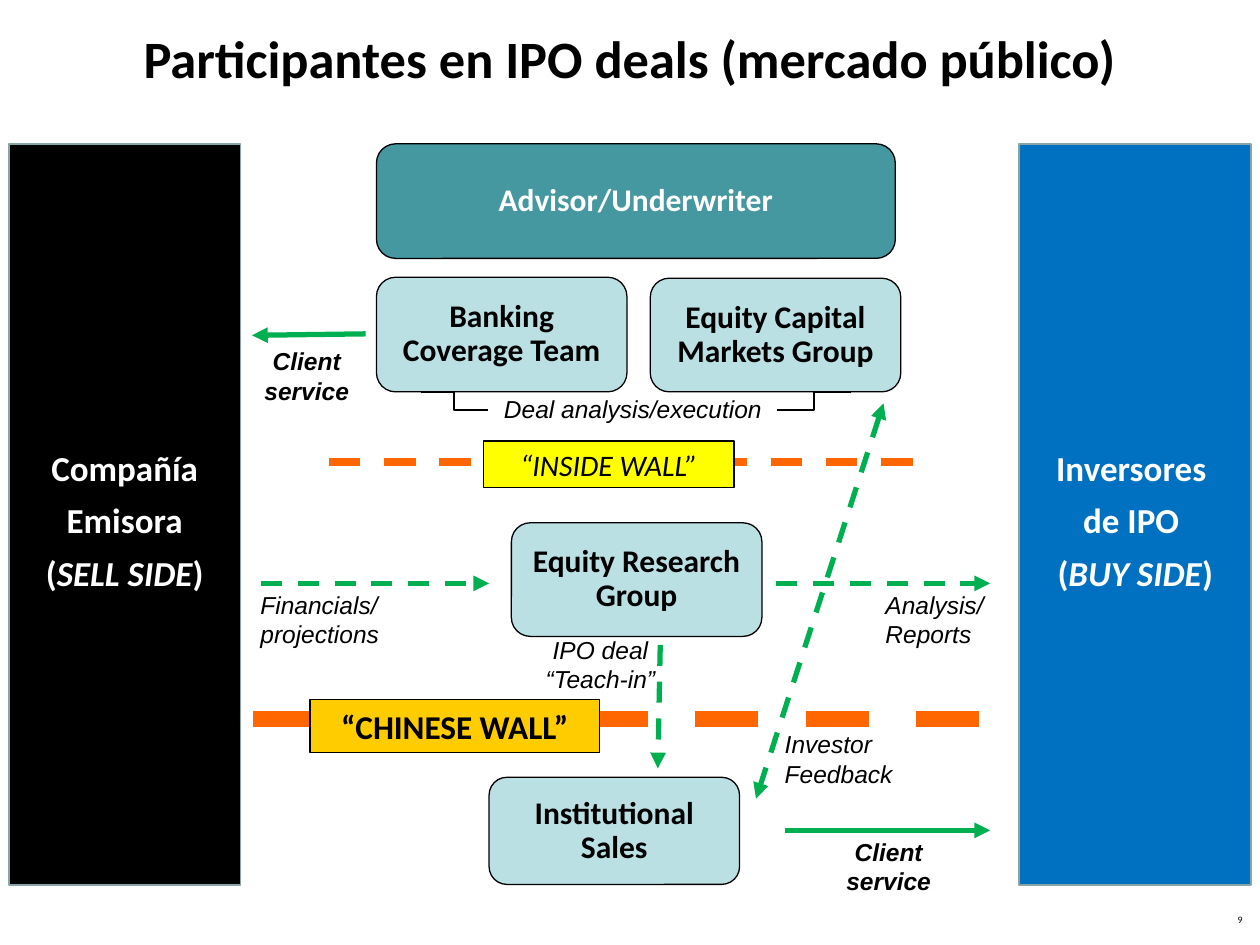
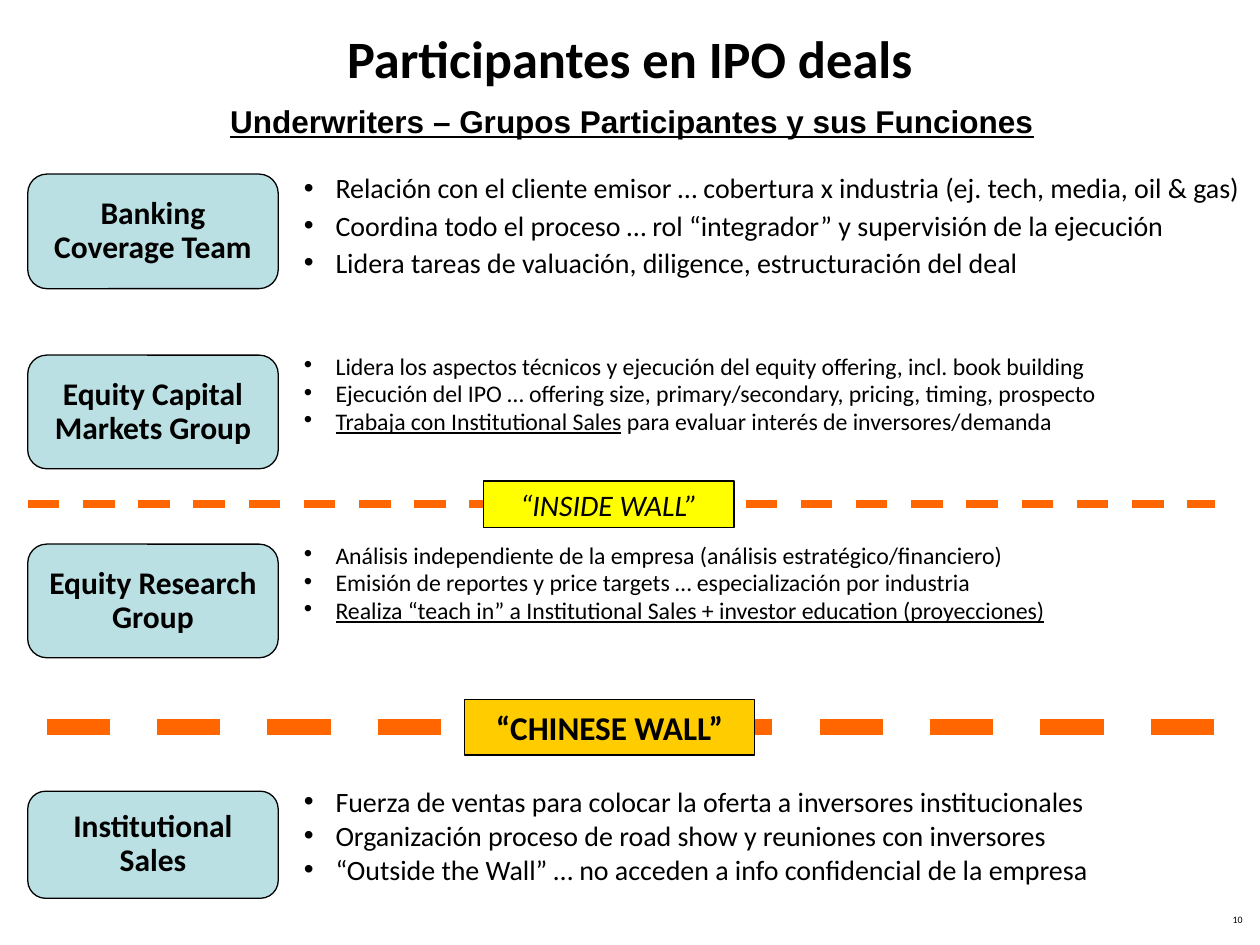
from dataclasses import dataclass

from pptx import Presentation
from pptx.dml.color import RGBColor
from pptx.enum.dml import MSO_LINE
from pptx.enum.shapes import MSO_CONNECTOR, MSO_SHAPE
from pptx.enum.text import MSO_ANCHOR, MSO_AUTO_SIZE, PP_ALIGN
from pptx.oxml.ns import qn
from pptx.util import Cm, Pt
from lxml import etree

LEFT, CENTER, RIGHT = PP_ALIGN.LEFT, PP_ALIGN.CENTER, PP_ALIGN.RIGHT
TOP, MIDDLE = MSO_ANCHOR.TOP, MSO_ANCHOR.MIDDLE
NO_FIT = MSO_AUTO_SIZE.NONE
RECT, ROUNDED = MSO_SHAPE.RECTANGLE, MSO_SHAPE.ROUNDED_RECTANGLE
STRAIGHT, ELBOW = MSO_CONNECTOR.STRAIGHT, MSO_CONNECTOR.ELBOW
DASH = MSO_LINE.DASH


@dataclass(frozen=True)
class Theme:
    black: str = "000000"
    white: str = "FFFFFF"
    team: str = "BBE0E3"
    advisor: str = "4597A0"
    buy_side: str = "0070C0"
    side_edge: str = "89A4A7"
    wall: str = "FF6600"
    inside: str = "FFFF00"
    chinese: str = "FFCC00"
    flow: str = "00B050"
    font: str = "Calibri"
    label_font: str = "Arial"
    title_size: float = 30
    side_size: float = 20
    chinese_size: float = 19
    team_size: float = 18
    inside_size: float = 17
    list_size: float = 16
    small_list_size: float = 13.6
    label_size: float = 14
    page_size: float = 5.6


THEME = Theme()


def write(frame, lines, size, color=THEME.black, font=THEME.font, align=CENTER, anchor=MIDDLE,
          bold=False, italic=False, underline=False, spacing=None, wrap=True, emphasis="italic"):
    frame.auto_size = NO_FIT
    frame.word_wrap = wrap
    frame.vertical_anchor = anchor
    for number, line in enumerate(lines):
        paragraph = frame.paragraphs[0] if number == 0 else frame.add_paragraph()
        paragraph.alignment = align
        if spacing:
            paragraph.line_spacing = spacing
        for part, words in enumerate(line.split("*")):
            if not words:
                continue
            run = paragraph.add_run()
            run.text = words
            run.font.name = font
            run.font.size = Pt(size)
            run.font.color.rgb = RGBColor.from_string(color)
            run.font.bold, run.font.italic, run.font.underline = bold, italic, underline
            if part % 2:
                setattr(run.font, emphasis, True)


def add_box(slide, kind, place, fill, lines, size, edge=THEME.black, edge_width=0.75, **text):
    box = slide.shapes.add_shape(kind, *map(Cm, place))
    box.shadow.inherit = False
    box.fill.solid()
    box.fill.fore_color.rgb = RGBColor.from_string(fill)
    box.line.color.rgb = RGBColor.from_string(edge)
    box.line.width = Pt(edge_width)
    write(box.text_frame, lines, size, **text)


deck = Presentation()
deck.slide_width, deck.slide_height = Cm(25.4), Cm(19.05)
market = deck.slides.add_slide(deck.slide_layouts.get_by_name("Title Only"))
roles = deck.slides.add_slide(deck.slide_layouts.get_by_name("Comparison"))

headings = [(market, "Participantes en IPO deals (mercado público)", "9"),
            (roles, "Participantes en IPO deals", "10")]
for slide, heading, page in headings:
    title = slide.shapes.title
    title.left, title.top, title.width, title.height = Cm(0), Cm(0), Cm(25.4), Cm(2.31)
    write(title.text_frame, [heading], THEME.title_size, bold=True)
    page_number = slide.shapes.add_textbox(Cm(19.38), Cm(18.34), Cm(5.92), Cm(0.53))
    write(page_number.text_frame, [page], THEME.page_size, align=RIGHT, anchor=TOP, spacing=0.8)

chinese_line = (THEME.wall, 9, DASH, "")
inside_line = (THEME.wall, 4.5, DASH, "")
solid_arrow = (THEME.flow, 3, None, "tail")
dashed_arrow = (THEME.flow, 3, DASH, "tail")
two_way_arrow = (THEME.flow, 3, DASH, "head tail")
bracket = (THEME.black, 1, None, "")
lines = [
    (market, STRAIGHT, (5.11, 14.5, 20.55, 14.5), chinese_line),
    (market, STRAIGHT, (6.63, 9.32, 18.52, 9.32), inside_line),
    (roles, STRAIGHT, (0.94, 14.66, 25.4, 14.66), chinese_line),
    (roles, STRAIGHT, (0.56, 10.16, 24.49, 10.16), inside_line),
    (market, STRAIGHT, (15.82, 16.74, 19.96, 16.74), solid_arrow),
    (market, STRAIGHT, (7.37, 6.73, 5.08, 6.76), solid_arrow),
    (market, STRAIGHT, (5.26, 11.76, 9.86, 11.76), dashed_arrow),
    (market, STRAIGHT, (13.31, 13, 13.26, 15.49), dashed_arrow),
    (market, STRAIGHT, (15.65, 11.76, 19.96, 11.76), dashed_arrow),
    (market, STRAIGHT, (17.81, 8.13, 15.24, 16.1), two_way_arrow),
    (market, ELBOW, (17.15, 7.9, 15.67, 8.26), bracket),
    (market, ELBOW, (8.48, 7.9, 9.83, 8.26), bracket),
]
for slide, kind, ends, (color, width, dash, arrowheads) in lines:
    connector = slide.shapes.add_connector(kind, *map(Cm, ends))
    connector.line.color.rgb = RGBColor.from_string(color)
    connector.line.width = Pt(width)
    if dash:
        connector.line.dash_style = dash
    properties = connector._element.spPr
    for end in arrowheads.split():
        etree.SubElement(properties.find(qn("a:ln")), qn(f"a:{end}End"), type="triangle")
    etree.SubElement(properties, qn("a:effectLst"))

walls = [(market, (6.25, 14.1, 5.84, 1.07), (9.75, 8.89, 5.05, 0.94)),
         (roles, (9.37, 14.1, 5.84, 1.12), (9.75, 9.7, 5.05, 0.94))]
for slide, chinese_place, inside_place in walls:
    add_box(slide, RECT, chinese_place, THEME.chinese, ["“CHINESE WALL”"],
            THEME.chinese_size, bold=True, wrap=False)
    add_box(slide, RECT, inside_place, THEME.inside, ["“INSIDE WALL”"],
            THEME.inside_size, italic=True, wrap=False)

teams = [
    ("Banking Coverage Team", 2.31, (7.59, 5.59), 3.51),
    ("Equity Capital Markets Group", 2.29, (13.11, 5.61), 7.16),
    ("Equity Research Group", 2.29, (10.31, 10.54), 10.97),
    ("Institutional Sales", 2.16, (9.86, 15.67), 15.95),
]
for team, height, market_corner, roles_top in teams:
    for slide, corner in ((market, market_corner), (roles, (0.56, roles_top))):
        add_box(slide, ROUNDED, (*corner, 5.05, height), THEME.team, [team],
                THEME.team_size, bold=True, spacing=0.9)

add_box(market, ROUNDED, (7.59, 2.9, 10.46, 2.31), THEME.advisor, ["Advisor/Underwriter"],
        THEME.team_size, color=THEME.white, bold=True, spacing=0.9)

sides = [(0.18, THEME.black, ["Compañía Emisora", "(*SELL SIDE*)"]),
         (20.55, THEME.buy_side, ["Inversores ", "de IPO ", "(*BUY SIDE*)"])]
for left, fill, party in sides:
    add_box(market, RECT, (left, 2.9, 4.67, 14.94), fill, party, THEME.side_size,
            edge=THEME.side_edge, edge_width=1, color=THEME.white, bold=True, spacing=Pt(30))

labels = [
    ((5, 11.76, 2.9, 1.45), ["Financials/", "projections"], LEFT, False),
    ((17.6, 11.76, 2.49, 1.45), ["Analysis/", "Reports"], LEFT, False),
    ((10.72, 12.67, 2.77, 1.45), ["IPO deal", "“Teach-in”"], CENTER, False),
    ((15.57, 14.58, 2.67, 1.45), ["Investor", "Feedback"], LEFT, False),
    ((9.91, 7.82, 5.72, 0.86), ["Deal analysis/execution"], LEFT, False),
    ((4.93, 6.86, 2.51, 1.45), ["Client service"], CENTER, True),
    ((16.66, 16.74, 2.51, 1.45), ["Client service"], CENTER, True),
]
for place, words, align, is_service in labels:
    label = market.shapes.add_textbox(*map(Cm, place))
    write(label.text_frame, words, THEME.label_size, font=THEME.label_font, align=align,
          anchor=TOP, bold=is_service, italic=True, wrap=is_service)

subtitle = roles.shapes.add_textbox(Cm(4.39), Cm(1.93), Cm(16.69), Cm(1.02))
write(subtitle.text_frame, ["Underwriters – Grupos Participantes y sus Funciones"],
      THEME.team_size, font=THEME.label_font, align=LEFT, anchor=TOP,
      bold=True, underline=True, wrap=False)

functions = [
    (3.45, 2.31, THEME.list_size, 0.8, [
        "Relación con el cliente emisor … cobertura x industria (ej. tech, media, oil & gas)",
        "Coordina todo el proceso … rol “integrador” y supervisión de la ejecución",
        "Lidera tareas de valuación, diligence, estructuración del deal"]),
    (7.16, 1.8, THEME.small_list_size, 0.6, [
        "Lidera los aspectos técnicos y ejecución del equity offering, incl. book building",
        "Ejecución del IPO … offering size, primary/secondary, pricing, timing, prospecto",
        "*Trabaja con Institutional Sales* para evaluar interés de inversores/demanda"]),
    (10.97, 1.8, THEME.small_list_size, 0.6, [
        "Análisis independiente de la empresa (análisis estratégico/financiero)",
        "Emisión de reportes y price targets … especialización por industria",
        "*Realiza “teach in” a Institutional Sales + investor education (proyecciones)*"]),
    (15.88, 2.26, THEME.list_size, 0.7, [
        "Fuerza de ventas para colocar la oferta a inversores institucionales",
        "Organización proceso de road show y reuniones con inversores",
        "“Outside the Wall” … no acceden a info confidencial de la empresa"]),
]
bodies = [holder for holder in roles.placeholders if holder.placeholder_format.idx in range(1, 5)]
for body, (top, height, size, spacing, duties) in zip(bodies, functions):
    body.left, body.top, body.width, body.height = Cm(5.87), Cm(top), Cm(19.53), Cm(height)
    write(body.text_frame, duties, size, align=LEFT, anchor=TOP, spacing=spacing,
          emphasis="underline")
    for paragraph in body.text_frame.paragraphs:
        paragraph.space_before = Pt(6)
        bullet = paragraph._p.get_or_add_pPr()
        bullet.set("marL", str(Cm(0.64)))
        bullet.set("indent", str(-Cm(0.64)))
        etree.SubElement(bullet, qn("a:buFont"), typeface=THEME.label_font)
        etree.SubElement(bullet, qn("a:buChar"), char="•")

deck.save("out.pptx")
